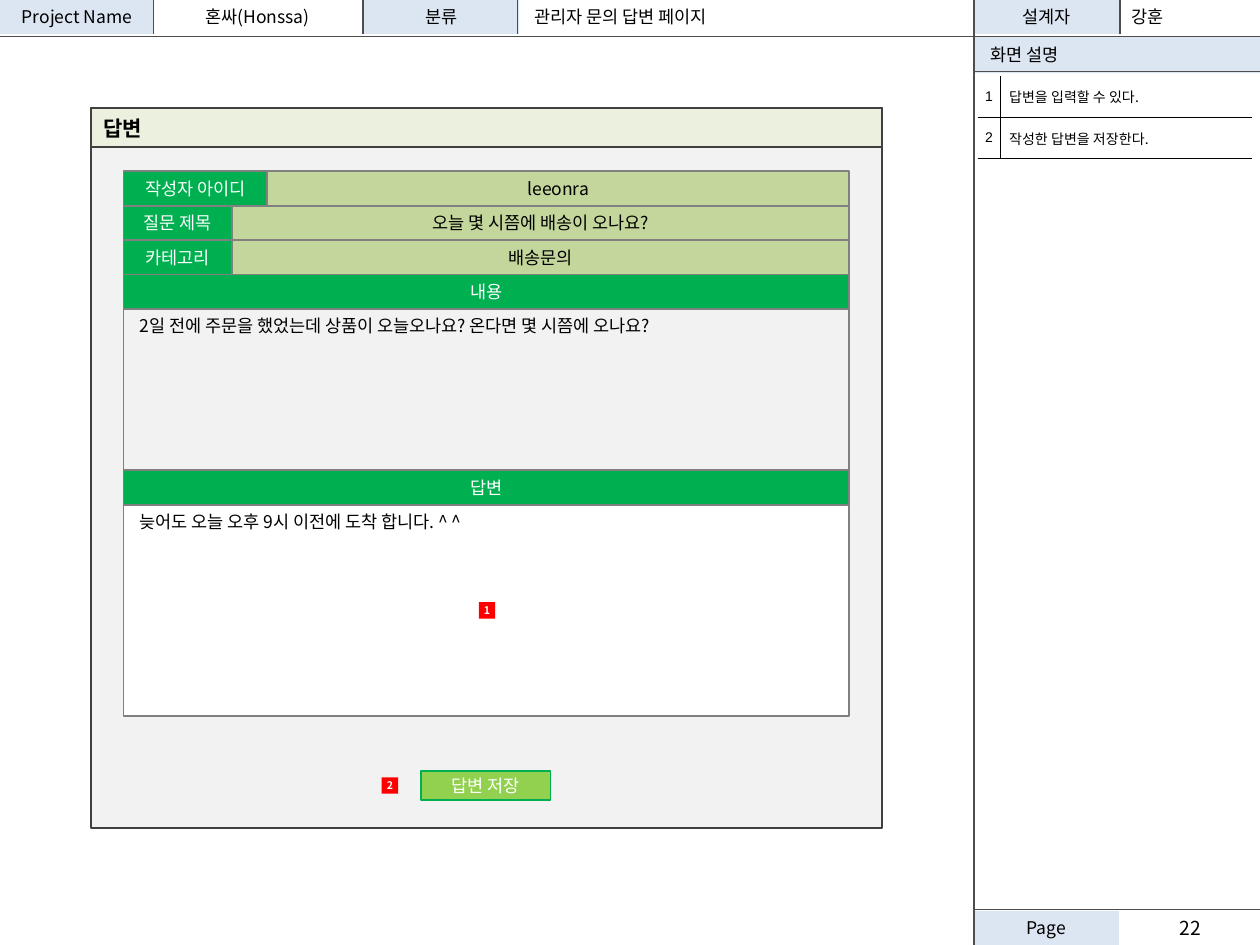
from pptx import Presentation
from pptx.dml.color import RGBColor as RGB
from pptx.enum.shapes import MSO_CONNECTOR as LINK, MSO_SHAPE as SHAPE
from pptx.enum.text import MSO_ANCHOR as ANCHOR, PP_ALIGN as ALIGN
from pptx.oxml.ns import qn
from pptx.util import Inches, Pt
from lxml.etree import SubElement

COLORS = {
    "black": "000000", "white": "FFFFFF", "rule": "4D4D4D", "header": "DCE6F2",
    "panel": "F2F2F2", "panel_line": "404040", "title": "EBF1DE",
    "label": "00B050", "value": "C3D69B", "form_line": "808080",
    "button": "92D050", "marker": "FF0000",
}
FONT = "Noto Sans CJK KR"

deck = Presentation()
deck.slide_width, deck.slide_height = Inches(10), Inches(7.5)
slide = deck.slides.add_slide(deck.slide_layouts[6])


def write(frame, text, size=10, color="black", bold=False, align=ALIGN.CENTER,
          font=FONT, **frame_format):
    for name, value in frame_format.items():
        setattr(frame, name, value)
    paragraph = frame.paragraphs[0]
    paragraph.alignment = align
    run = paragraph.add_run()
    run.text = text
    for name, value in {"size": Pt(size), "bold": bold, "name": font}.items():
        setattr(run.font, name, value)
    run.font.color.rgb = RGB.from_string(COLORS[color])
    SubElement(run.font._element, qn("a:ea")).set("typeface", font)


def box(left, top, width, height, fill=None, line=None, text="",
        anchor=ANCHOR.MIDDLE, **text_format):
    rect = slide.shapes.add_shape(
        SHAPE.RECTANGLE, *map(Inches, (left, top, width, height)))
    rect.shadow.inherit = False
    for part, color in ((rect.fill, fill), (rect.line.fill, line)):
        if color:
            part.solid()
            part.fore_color.rgb = RGB.from_string(COLORS[color])
        else:
            part.background()
    if line:
        rect.line.width = Pt(1)
    if text:
        write(rect.text_frame, text, word_wrap=True, vertical_anchor=anchor,
              **text_format)


# Page frame: header bar, description column and footer
SIDE, BAR, RULE = 7.73, 0.27, 0.29
for left, top, width, text, align in (
    (0, 0, 1.22, "Project Name", ALIGN.CENTER),
    (2.89, 0, 1.23, "분류", ALIGN.CENTER),
    (SIDE, 0, 1.15, "설계자", ALIGN.CENTER),
    (SIDE, RULE, 10 - SIDE, " 화면 설명", ALIGN.LEFT),
    (SIDE, 7.5 - BAR, 1.15, "Page", ALIGN.CENTER),
):
    box(left, top, width, BAR if top != RULE else RULE, "header",
        text=text, align=align)

rules = [(x, 0, x, BAR) for x in (1.22, 2.88, 4.11, 8.89)]
rules += [(0, RULE, 10, RULE), (SIDE, 0.57, 10, 0.57),
          (SIDE, 0, SIDE, 7.5), (SIDE, 7.22, 10, 7.22)]
for ends in rules:
    rule = slide.shapes.add_connector(LINK.STRAIGHT, *map(Inches, ends))
    rule.line.color.rgb = RGB.from_string(COLORS["rule"])
    rule.line.width = Pt(0.75)
    SubElement(rule._element.spPr, qn("a:effectLst"))

# Header values and page number
for left, top, width, text, size, align, anchor in (
    (1.22, 0, 1.65, "혼싸(Honssa)", 10, ALIGN.CENTER, ANCHOR.MIDDLE),
    (4.14, 0, 2.99, "관리자 문의 답변 페이지", 10, ALIGN.LEFT, ANCHOR.TOP),
    (8.88, 0, 1.02, "강훈", 10, ALIGN.LEFT, ANCHOR.TOP),
    (8.89, 7.22, 1.11, "22", 11, ALIGN.CENTER, ANCHOR.TOP),
):
    value = slide.shapes.add_textbox(*map(Inches, (left, top, width, BAR)))
    write(value.text_frame, text, size, align=align, word_wrap=True,
          vertical_anchor=anchor)

# Description table
descriptions = ["답변을 입력할 수 있다.", "작성한 답변을 저장한다."]
table = slide.shapes.add_table(
    len(descriptions), 2, *map(Inches, (7.76, 0.6, 2.18, 0.66))).table
table.first_row = table.horz_banding = False
for column, width in zip(table.columns, (0.18, 2)):
    column.width = Inches(width)
for row, description in enumerate(descriptions):
    table.rows[row].height = Inches(0.33)
    for column, (text, font, align, side) in enumerate((
        (str(row + 1), "Arial", ALIGN.CENTER, 0.04),
        (description, FONT, ALIGN.LEFT, 0.07),
    )):
        cell = table.cell(row, column)
        for name, value in {
            "margin_left": Inches(side), "margin_right": Inches(side),
            "margin_top": Inches(0.05), "margin_bottom": Inches(0.05),
            "vertical_anchor": ANCHOR.MIDDLE,
        }.items():
            setattr(cell, name, value)
        write(cell.text_frame, text, 8, align=align, font=font)
        shown = {("lnR", "lnL")[column], "lnB"} | ({"lnT"} if row else set())
        properties = cell._tc.get_or_add_tcPr()
        for edge in ("lnL", "lnR", "lnT", "lnB"):
            border = SubElement(properties, qn(f"a:{edge}"), w=str(Pt(0.75)))
            if edge in shown:
                solid = SubElement(border, qn("a:solidFill"))
                SubElement(solid, qn("a:srgbClr"), val=COLORS["black"])
            else:
                SubElement(border, qn("a:noFill"))
        cell.fill.background()

# Answer panel and its title
box(0.72, 0.86, 6.28, 5.71, "panel", "panel_line")
box(0.72, 0.86, 6.28, 0.31, "title", "panel_line", "답변", size=12, bold=True,
    align=ALIGN.LEFT)

# Question fields: a label and a value on each form row
FORM_LEFT, FORM_TOP, FORM_WIDTH, ROW = 0.98, 1.36, 5.76, 0.273
for row, (label, value, label_width) in enumerate((
    ("작성자 아이디", "leeonra", 1.14),
    ("질문 제목", "오늘 몇 시쯤에 배송이 오나요?", 0.86),
    ("카테고리", "배송문의", 0.86),
)):
    top = FORM_TOP + row * ROW
    box(FORM_LEFT, top, label_width, ROW, "label", "form_line", label,
        color="white")
    box(FORM_LEFT + label_width, top, FORM_WIDTH - label_width, ROW, "value",
        "form_line", value)

# Question and answer bodies, each under a full-width heading
top = FORM_TOP + 3 * ROW
for heading, body, height, fill in (
    ("내용", " 2일 전에 주문을 했었는데 상품이 오늘오나요? 온다면 몇 시쯤에 오나요?", 1.28, None),
    ("답변", " 늦어도 오늘 오후 9시 이전에 도착 합니다. ^ ^", 1.68, "white"),
):
    box(FORM_LEFT, top, FORM_WIDTH, ROW, "label", "form_line", heading,
        color="white")
    box(FORM_LEFT, top + ROW, FORM_WIDTH, height, fill, "form_line", body,
        anchor=ANCHOR.TOP, align=ALIGN.LEFT)
    top += ROW + height

# Save button and numbered markers
box(3.34, 6.12, 1.03, 0.23, "button", "label", "답변 저장", color="white")
for number, left, top in (("2", 3.03, 6.17), ("1", 3.8, 4.78)):
    box(left, top, 0.13, 0.13, "marker", text=number, size=6, color="white",
        bold=True, margin_left=0, margin_right=0, margin_top=0, margin_bottom=0)

deck.save("out.pptx")
